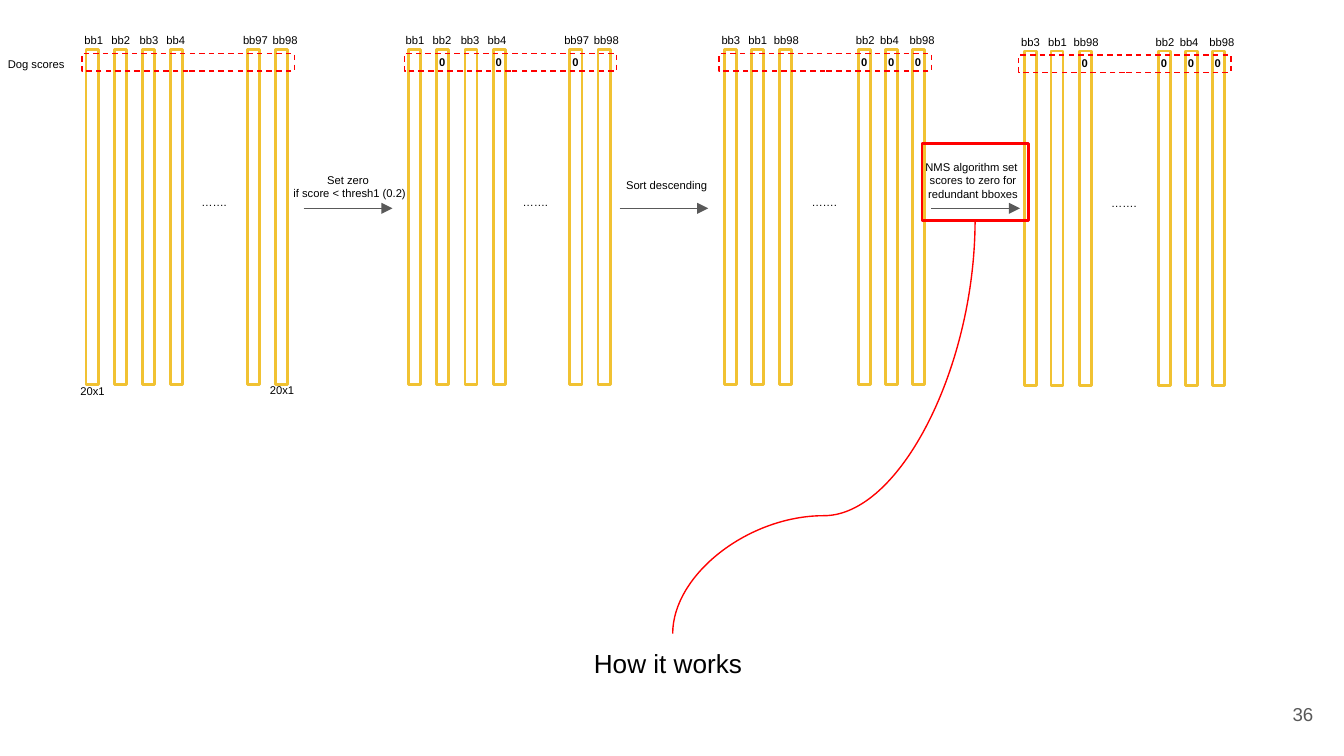
from dataclasses import dataclass

from lxml.etree import SubElement
from pptx import Presentation
from pptx.dml.color import RGBColor
from pptx.enum.dml import MSO_LINE_DASH_STYLE as DASH
from pptx.enum.shapes import MSO_CONNECTOR as CONNECTOR, MSO_SHAPE as SHAPE
from pptx.enum.text import MSO_ANCHOR as ANCHOR, MSO_AUTO_SIZE as AUTO_SIZE, PP_ALIGN as ALIGN
from pptx.oxml.ns import qn
from pptx.util import Inches, Pt

BLACK = RGBColor(0x00, 0x00, 0x00)
WHITE = RGBColor(0xFF, 0xFF, 0xFF)
GRAY = RGBColor(0x59, 0x59, 0x59)
RED = RGBColor(0xFF, 0x00, 0x00)
YELLOW = RGBColor(0xF1, 0xC2, 0x32)

ORDERED_NAMES = ("bb1", "bb2", "bb3", "bb4", "bb97", "bb98")
SORTED_NAMES = ("bb3", "bb1", "bb98", "bb2", "bb4", "bb98")


@dataclass
class Layout:
    """Offsets of bars, labels and dots shared by similar panels."""
    names: tuple
    bars: tuple
    labels: tuple
    dots: float


@dataclass
class Panel:
    """One set of bounding-box score columns."""
    layout: Layout
    frame_left: float
    label_left: float
    zeros: tuple = ()
    shift: float = 0


ORDERED = Layout(ORDERED_NAMES, (0.03, 0.24, 0.45, 0.66, 1.23, 1.44),
                 (0, 0.2, 0.41, 0.61, 1.18, 1.4), 0.87)
SORTED = Layout(SORTED_NAMES, (0.04, 0.24, 0.45, 1.04, 1.24, 1.44),
                (0, 0.2, 0.39, 1, 1.18, 1.4), 0.67)
PANELS = (
    Panel(ORDERED, 0.61, 0.53),
    Panel(ORDERED, 3.01, 2.92, (1, 3, 4)),
    Panel(SORTED, 5.35, 5.27, (3, 4, 5)),
    Panel(SORTED, 7.58, 7.5, (2, 3, 4, 5), 0.01),
)


def add_text(slide, left, top, width, height, text, size=6, color=BLACK,
             align=ALIGN.LEFT, anchor=ANCHOR.TOP, bold=False):
    """Add a wrapped text box with one paragraph per line of text."""
    shape = slide.shapes.add_textbox(Inches(left), Inches(top), Inches(width), Inches(height))
    frame = shape.text_frame
    frame.word_wrap = True
    frame.auto_size = AUTO_SIZE.NONE
    frame.vertical_anchor = anchor
    frame.margin_left = frame.margin_right = Inches(0.1)
    frame.margin_top = frame.margin_bottom = Inches(0.1)
    frame.text = text
    for paragraph in frame.paragraphs:
        paragraph.alignment = align
        paragraph.font.name = "Arial"
        paragraph.font.size = Pt(size)
        paragraph.font.bold = bold
        paragraph.font.color.rgb = color


def add_box(slide, left, top, width, height, color, weight, fill=None, dash=None):
    """Add an outlined rectangle, hollow unless a fill is given."""
    shape = slide.shapes.add_shape(
        SHAPE.RECTANGLE, Inches(left), Inches(top), Inches(width), Inches(height))
    shape.shadow.inherit = False
    if fill is None:
        shape.fill.background()
    else:
        shape.fill.solid()
        shape.fill.fore_color.rgb = fill
    shape.line.color.rgb = color
    shape.line.width = Pt(weight)
    if dash is not None:
        shape.line.dash_style = dash


def add_line(slide, kind, start, end, color):
    """Add a thin connector without a shadow and return it."""
    points = [Inches(value) for value in (*start, *end)]
    connector = slide.shapes.add_connector(kind, *points)
    connector.line.color.rgb = color
    connector.line.width = Pt(0.75)
    SubElement(connector._element.spPr, qn("a:effectLst"))
    return connector


def add_step(slide, arrow_left, text_left, text_top, text, height=0.27):
    """Add a captioned arrow between two panels."""
    add_text(slide, text_left, text_top, 1.16, height, text, align=ALIGN.CENTER)
    arrow = add_line(slide, CONNECTOR.STRAIGHT, (arrow_left, 1.55), (arrow_left + 0.66, 1.55), GRAY)
    SubElement(arrow.line._get_or_add_ln(), qn("a:tailEnd"), type="triangle")


def add_curve(slide):
    """Add the quarter-turned curve from the highlighted step to its caption."""
    curve = add_line(slide, CONNECTOR.CURVE, (4.59, 2.05), (7.67, 4.3), RED)
    properties = curve._element.spPr
    properties.find(qn("a:xfrm")).set("rot", str(90 * 60000))
    geometry = properties.find(qn("a:prstGeom"))
    adjustments = geometry.find(qn("a:avLst"))
    if adjustments is None:
        adjustments = SubElement(geometry, qn("a:avLst"))
    SubElement(adjustments, qn("a:gd"), name="adj1", fmla="val 71500")


def add_panel(slide, panel):
    """Add the columns, labels, score frame and zero scores of a panel."""
    layout = panel.layout
    for offset in layout.bars:
        add_box(slide, panel.frame_left + offset, 0.37 + panel.shift, 0.09, 2.49,
                YELLOW, 1.5, fill=WHITE)
    for name, offset in zip(layout.names, layout.labels):
        add_text(slide, panel.label_left + offset, 0.15 + panel.shift, 0.42, 0.27, name)
    add_text(slide, panel.label_left + layout.dots, 1.35 + panel.shift, 0.67, 0.2, "…….")
    add_box(slide, panel.frame_left, 0.4 + panel.shift, 1.58, 0.13, RED, 0.75, dash=DASH.DASH)
    for index in panel.zeros:
        add_text(slide, panel.frame_left + layout.bars[index] - 0.08, 0.31 + panel.shift,
                 0.24, 0.27, "0", align=ALIGN.CENTER, bold=True)


def main():
    """Build and save the slide."""
    presentation = Presentation()
    presentation.slide_width = Inches(10)
    presentation.slide_height = Inches(10) * 9 // 16
    slide = presentation.slides.add_slide(presentation.slide_layouts[6])

    for panel in PANELS:
        add_panel(slide, panel)
    add_text(slide, -0.04, 0.33, 0.71, 0.27, "Dog scores")
    add_text(slide, 0.5, 2.76, 0.42, 0.2, "20x1")
    add_text(slide, 1.91, 2.75, 0.42, 0.2, "20x1")

    add_step(slide, 2.26, 2.01, 1.19, "Set zero\n if score < thresh1 (0.2)")
    add_step(slide, 4.61, 4.38, 1.23, "Sort descending")
    add_step(slide, 6.93, 6.66, 1.09,
             "NMS algorithm set \nscores to zero for redundant bboxes", 0.48)

    add_box(slide, 6.86, 1.07, 0.79, 0.57, RED, 1.5)
    add_curve(slide)
    add_text(slide, 4.32, 4.72, 1.36, 0.27, "How it works", size=14)
    add_text(slide, 9.27, 5.1, 0.6, 0.43, "36", size=10, color=GRAY,
             align=ALIGN.RIGHT, anchor=ANCHOR.MIDDLE)
    presentation.save("out.pptx")


if __name__ == "__main__":
    main()
